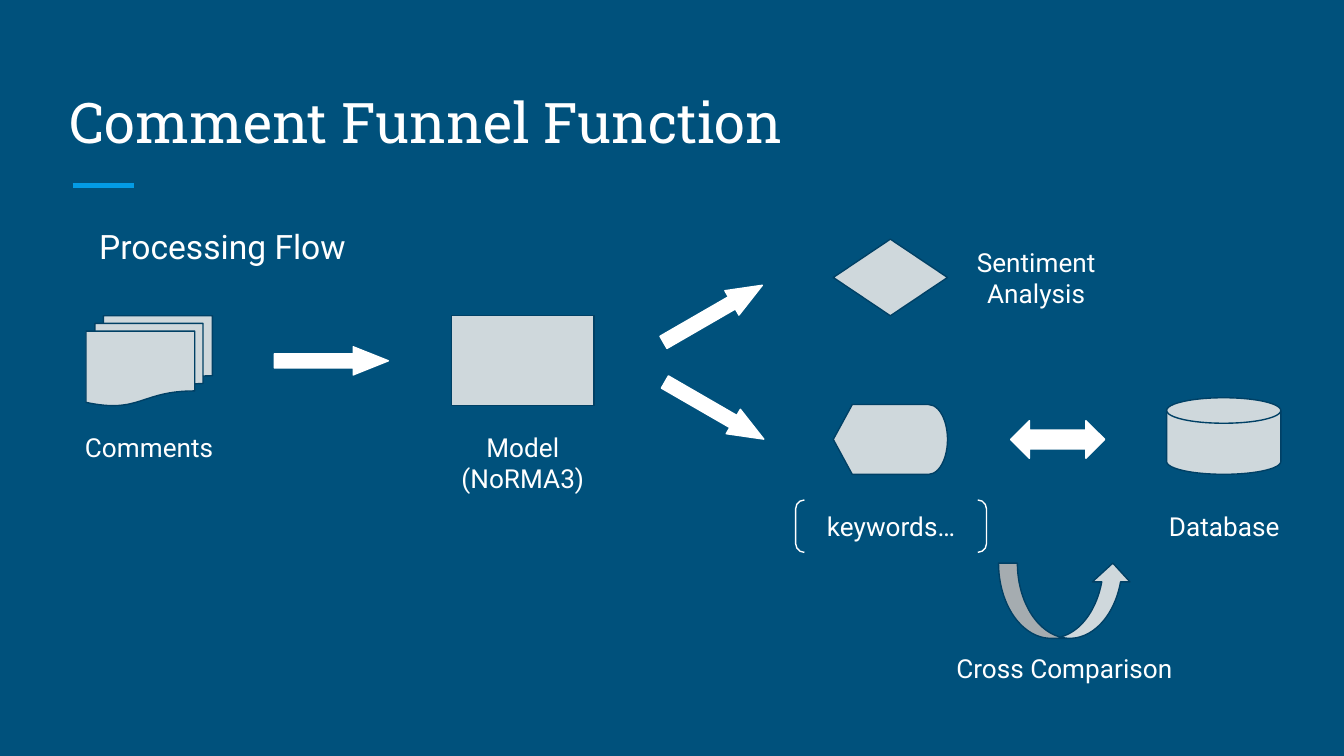
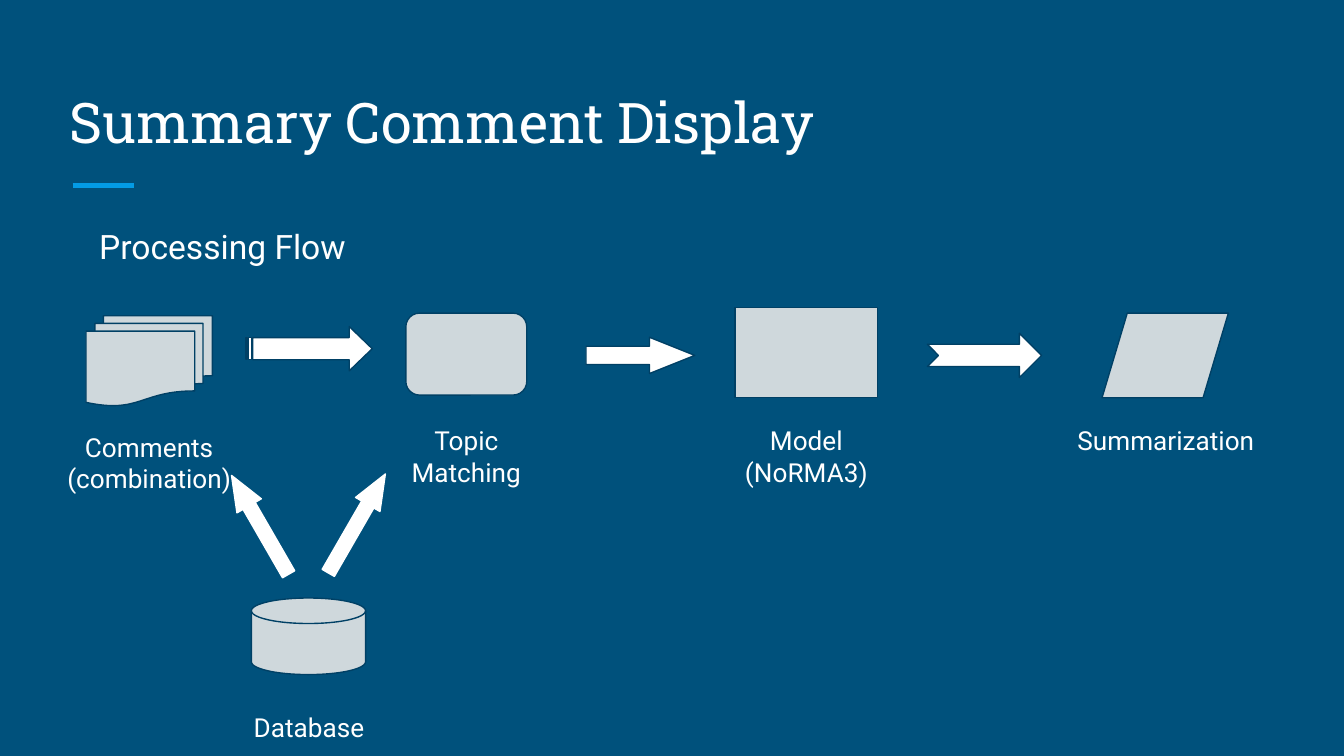
from lxml.etree import SubElement
from pptx import Presentation
from pptx.dml.color import RGBColor
from pptx.enum.shapes import MSO_CONNECTOR, MSO_SHAPE
from pptx.enum.text import MSO_ANCHOR, PP_ALIGN
from pptx.oxml.ns import qn
from pptx.util import Emu, Pt

PIXEL = 9144  # 100 px to the inch
SLIDE_WIDTH = Emu(1000 * PIXEL)
SLIDE_HEIGHT = Emu(SLIDE_WIDTH * 9 // 16)
COLORS = {
    "background": "00517C",
    "accent": "039BE5",
    "white": "FFFFFF",
    "node": "CFD8DC",
    "outline": "004065",
}
BODY_FONT = "Roboto"
TITLE_FONT = "Roboto Slab"
LONG_HEAD = (0.5, 1.249)


def px(*lengths):
    return [Emu(length * PIXEL) for length in lengths]


def color(name):
    return RGBColor.from_string(COLORS[name])


def write(shape, text, size=14, font=BODY_FONT, align=PP_ALIGN.CENTER, anchor=MSO_ANCHOR.TOP):
    """Fill a shape with text, one paragraph to a line."""
    frame = shape.text_frame
    frame.word_wrap = True
    frame.vertical_anchor = anchor
    frame.margin_left = frame.margin_right = frame.margin_top = frame.margin_bottom = px(10)[0]
    frame.text = text
    for paragraph in frame.paragraphs:
        paragraph.alignment = align
        for run in paragraph.runs:
            run.font.size = Pt(size)
            run.font.name = font
            run.font.color.rgb = color("white")


def add_text(slide, box, text, **text_format):
    write(slide.shapes.add_textbox(*px(*box)), text, **text_format)


def add_figure(slide, kind, box, fill="node", line="outline", adjustments=(), rotation=0):
    shape = slide.shapes.add_shape(kind, *px(*box))
    shape.shadow.inherit = False
    shape.rotation = rotation
    for index, value in enumerate(adjustments):
        shape.adjustments[index] = value
    if fill:
        shape.fill.solid()
        shape.fill.fore_color.rgb = color(fill)
    else:
        shape.fill.background()
    shape.line.color.rgb = color(line)
    shape.line.width = Pt(0.75)
    return shape


def add_arrow(slide, box, kind=MSO_SHAPE.RIGHT_ARROW, line="white", adjustments=LONG_HEAD, rotation=0):
    add_figure(slide, kind, box, "white", line, adjustments, rotation)


def add_node(slide, kind, box, label, label_top, label_width=130):
    """Draw a flow step with its label centred below it."""
    add_figure(slide, kind, box)
    left, _, width, _ = box
    label_left = left + (width - label_width + 1) // 2
    label_height = 21 + 23 * len(label.split("\n"))
    add_text(slide, (label_left, label_top, label_width, label_height), label)


def add_comments(slide, label, label_width=130):
    add_node(slide, MSO_SHAPE.FLOWCHART_MULTIDOCUMENT, (64, 235, 94, 67), label, 311, label_width)


def add_model(slide, left, top, label_top):
    add_node(slide, MSO_SHAPE.RECTANGLE, (left, top, 106, 67), "Model\n(NoRMA3)", label_top)


def add_database(slide, left, top):
    add_node(slide, MSO_SHAPE.FLOWCHART_MAGNETIC_DISK, (left, top, 85, 57), "Database", top + 74)


def add_flow_slide(presentation, title):
    slide = presentation.slides.add_slide(presentation.slide_layouts[6])
    slide.background.fill.solid()
    slide.background.fill.fore_color.rgb = color("background")
    rule = slide.shapes.add_connector(MSO_CONNECTOR.STRAIGHT, *px(54, 138, 100, 138))
    rule.line.color.rgb = color("accent")
    rule.line.width = Pt(3)
    SubElement(rule.element.spPr, qn("a:effectLst"))
    add_text(slide, (42, 50, 915, 75), title, size=30, font=TITLE_FONT,
             align=PP_ALIGN.LEFT, anchor=MSO_ANCHOR.BOTTOM)
    add_text(slide, (64, 158, 337, 50), "Processing Flow", size=18, align=PP_ALIGN.LEFT)
    return slide


def build_comment_funnel(presentation):
    slide = add_flow_slide(presentation, "Comment Funnel Function")
    add_comments(slide, "Comments")
    add_arrow(slide, (204, 258, 85, 21))
    add_model(slide, 336, 235, 311)

    add_arrow(slide, (488, 223, 85, 21), rotation=330)
    add_figure(slide, MSO_SHAPE.FLOWCHART_DECISION, (620, 178, 85, 57))
    add_text(slide, (706, 173, 130, 67), "Sentiment Analysis")

    add_arrow(slide, (489, 295, 85, 21), rotation=30)
    add_figure(slide, MSO_SHAPE.FLOWCHART_DISPLAY, (620, 301, 85, 52))
    keywords = add_figure(slide, MSO_SHAPE.DOUBLE_BRACKET, (592, 372, 142, 39), None, "white")
    write(keywords, "keywords…", anchor=MSO_ANCHOR.MIDDLE)

    add_arrow(slide, (752, 313, 70, 28), MSO_SHAPE.LEFT_RIGHT_ARROW, adjustments=(0.5, 0.5))
    add_database(slide, 868, 296)
    add_figure(slide, MSO_SHAPE.CURVED_UP_ARROW, (743, 419, 99, 56), adjustments=(0.25, 0.5, 0.25))
    add_text(slide, (701, 475, 182, 44), "Cross Comparison", anchor=MSO_ANCHOR.MIDDLE)


def build_summary_display(presentation):
    slide = add_flow_slide(presentation, "Summary Comment Display")
    add_comments(slide, "Comments\n(combination)", 148)
    add_arrow(slide, (183, 243, 94, 33), MSO_SHAPE.STRIPED_RIGHT_ARROW, "outline", (0.5, 0.519))
    add_node(slide, MSO_SHAPE.ROUNDED_RECTANGLE, (302, 233, 90, 61), "Topic\nMatching", 306)
    add_arrow(slide, (436, 251, 81, 27), line="outline")
    add_model(slide, 547, 229, 306)
    add_arrow(slide, (690, 248, 85, 33), MSO_SHAPE.NOTCHED_RIGHT_ARROW, "outline", (0.5, 0.5))
    add_node(slide, MSO_SHAPE.FLOWCHART_DATA, (820, 233, 94, 63), "Summarization", 306, 155)

    add_database(slide, 187, 445)
    add_arrow(slide, (151, 380, 85, 21), rotation=240)
    add_arrow(slide, (223, 379, 85, 21), rotation=300)


def main():
    presentation = Presentation()
    presentation.slide_width = SLIDE_WIDTH
    presentation.slide_height = SLIDE_HEIGHT
    build_comment_funnel(presentation)
    build_summary_display(presentation)
    presentation.save("out.pptx")


if __name__ == "__main__":
    main()
